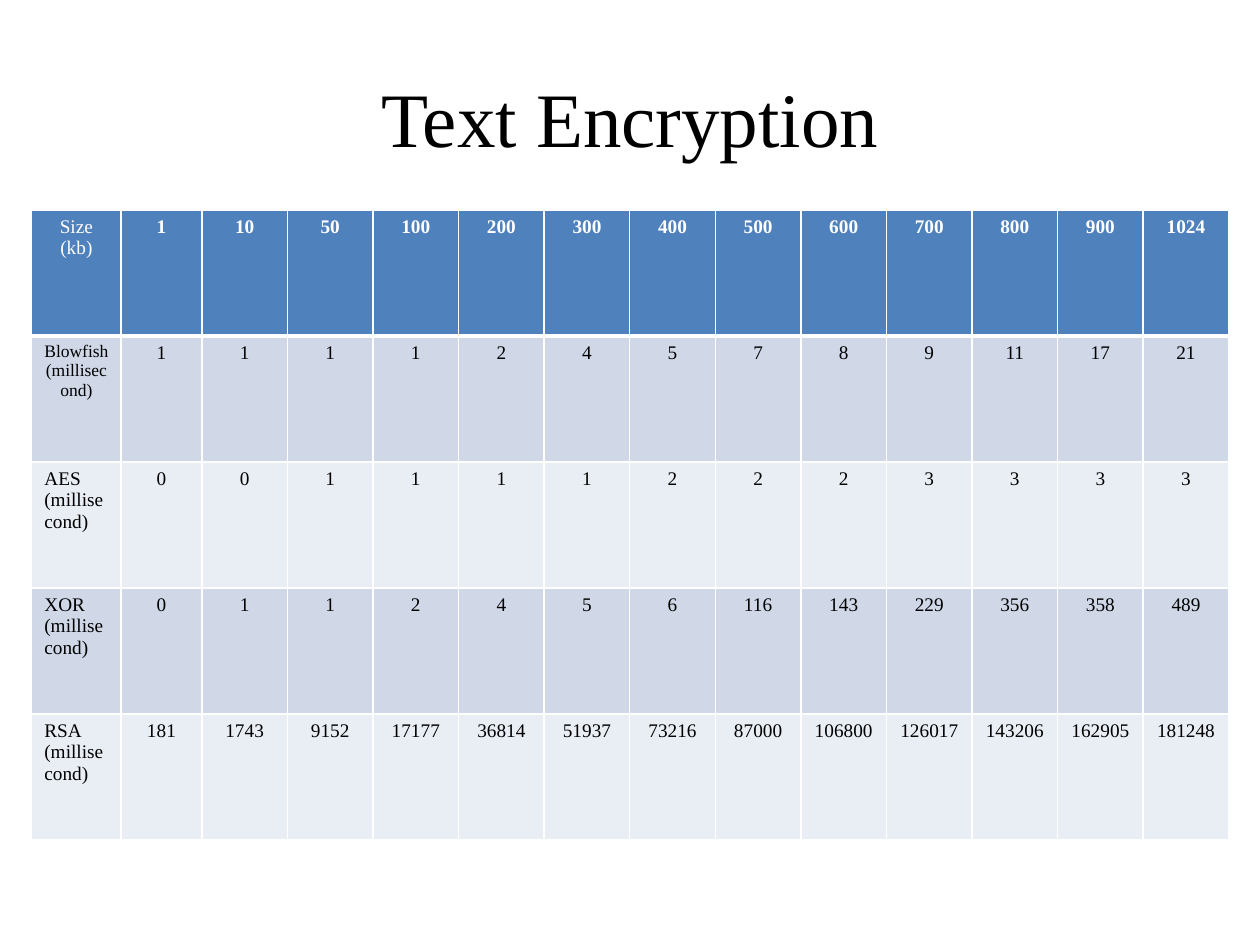
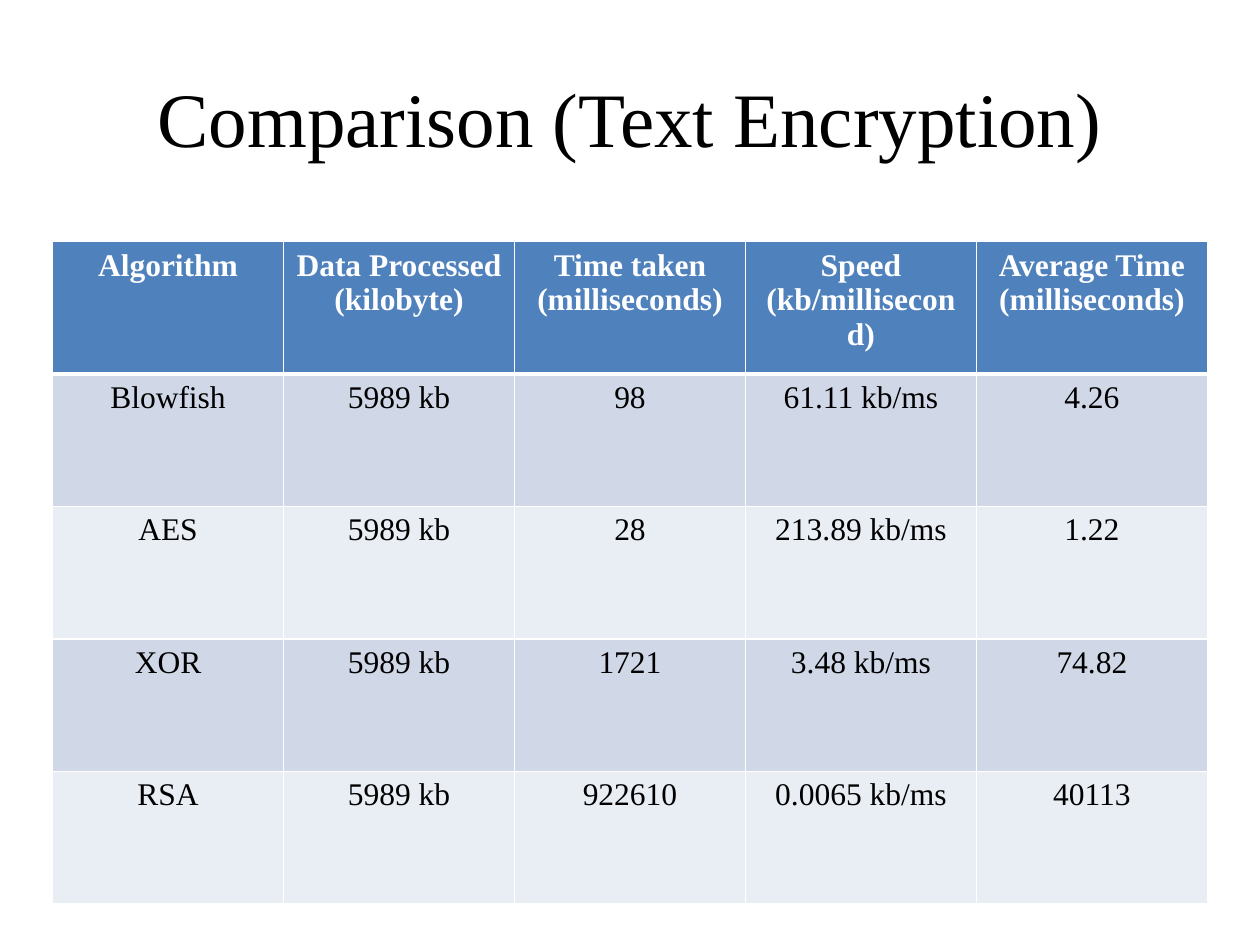
from lxml.etree import SubElement
from pptx import Presentation
from pptx.dml.color import RGBColor
from pptx.enum.text import MSO_ANCHOR, PP_ALIGN
from pptx.oxml.ns import qn
from pptx.util import Cm, Pt

COLORS = {
    "title": "000000",
    "body": "000000",
    "heading": "FFFFFF",
    "heading_fill": "4F81BD",
    "odd_row": "D0D8E8",
    "even_row": "E9EDF4",
    "rule": "FFFFFF",
}
FONT = "Times New Roman"


def write(frame, text, size, color="body", bold=False, align=PP_ALIGN.CENTER):
    """Fill a text frame, one paragraph per line of text."""
    frame.word_wrap = True
    for index, line in enumerate(text.split("\n")):
        paragraph = frame.paragraphs[0] if index == 0 else frame.add_paragraph()
        paragraph.alignment = align
        run = paragraph.add_run()
        run.text = line
        run.font.name = FONT
        run.font.size = Pt(size)
        run.font.bold = bold
        run.font.color.rgb = RGBColor.from_string(COLORS[color])


def rule_cell(cell, top, bottom):
    """Draw the four cell borders; top and bottom are widths in points."""
    properties = cell._tc.get_or_add_tcPr()
    for side, width in (("L", 1), ("R", 1), ("T", top), ("B", bottom)):
        line = SubElement(properties, qn(f"a:ln{side}"), w=str(Pt(width)))
        fill = SubElement(line, qn("a:solidFill"))
        SubElement(fill, qn("a:srgbClr"), val=COLORS["rule"])


# Timings by file size
unit = "\n(millisecond)"
timings = [
    ["Size (kb)", 1, 10, 50, 100, 200, 300, 400, 500, 600, 700, 800, 900, 1024],
    ["Blowfish" + unit, 1, 1, 1, 1, 2, 4, 5, 7, 8, 9, 11, 17, 21],
    ["AES" + unit, 0, 0, 1, 1, 1, 1, 2, 2, 2, 3, 3, 3, 3],
    ["XOR" + unit, 0, 1, 1, 2, 4, 5, 6, 116, 143, 229, 356, 358, 489],
    ["RSA" + unit, 181, 1743, 9152, 17177, 36814, 51937, 73216, 87000,
     106800, 126017, 143206, 162905, 181248],
]
# Exceptions to the common cell format, by row and column
timing_formats = {
    (0, 0): {"bold": False},
    (1, 0): {"size": 10},
    **{(row, 0): {"align": PP_ALIGN.LEFT} for row in (2, 3, 4)},
}

# Totals by algorithm
data_size = "5989 kb"
comparison = [
    ["Algorithm", "Data Processed (kilobyte)", "Time taken (milliseconds)",
     "Speed (kb/millisecond)", "Average Time (milliseconds)"],
    ["Blowfish", data_size, "98", "61.11 kb/ms", "4.26"],
    ["AES", data_size, "28", "213.89 kb/ms", "1.22"],
    ["XOR", data_size, "1721", "3.48 kb/ms", "74.82"],
    ["RSA", data_size, "922610", "0.0065 kb/ms", "40113"],
]

# Title, rows, left, top, column widths, row height (cm), text size, exceptions
pages = [
    ("Text Encryption", timings, 0.64, 4.23,
     [1.8, 1.63] + [20.7 / 12] * 12, 2.54, 11, timing_formats),
    ("Comparison (Text Encryption)", comparison, 1.06, 4.87,
     [23.28 / 5] * 5, 2.67, 18, {}),
]

deck = Presentation()
deck.slide_width, deck.slide_height = Cm(25.4), Cm(19.05)

for title, rows, left, top, widths, row_height, size, exceptions in pages:
    slide = deck.slides.add_slide(deck.slide_layouts[6])

    # Title
    heading = slide.shapes.add_textbox(Cm(1.27), Cm(0.76), Cm(22.86), Cm(3.18))
    heading.text_frame.vertical_anchor = MSO_ANCHOR.MIDDLE
    write(heading.text_frame, title, size=44, color="title")

    # Table grid
    table = slide.shapes.add_table(
        len(rows), len(widths), Cm(left), Cm(top),
        Cm(sum(widths)), Cm(row_height * len(rows))).table
    table.first_row = table.horz_banding = False
    for column, width in zip(table.columns, widths):
        column.width = Cm(width)

    # Cells: a heading row, then two alternating row colours
    for r, values in enumerate(rows):
        table.rows[r].height = Cm(row_height)
        is_heading = r == 0
        row_fill = "heading_fill" if is_heading else ("even_row", "odd_row")[r % 2]
        for c, value in enumerate(values):
            cell = table.cell(r, c)
            rule_cell(cell, top=3 if r == 1 else 1, bottom=3 if is_heading else 1)
            cell.fill.solid()
            cell.fill.fore_color.rgb = RGBColor.from_string(COLORS[row_fill])
            cell_format = {
                "size": size,
                "color": "heading" if is_heading else "body",
                "bold": is_heading,
                **exceptions.get((r, c), {}),
            }
            write(cell.text_frame, str(value), **cell_format)

deck.save("out.pptx")
